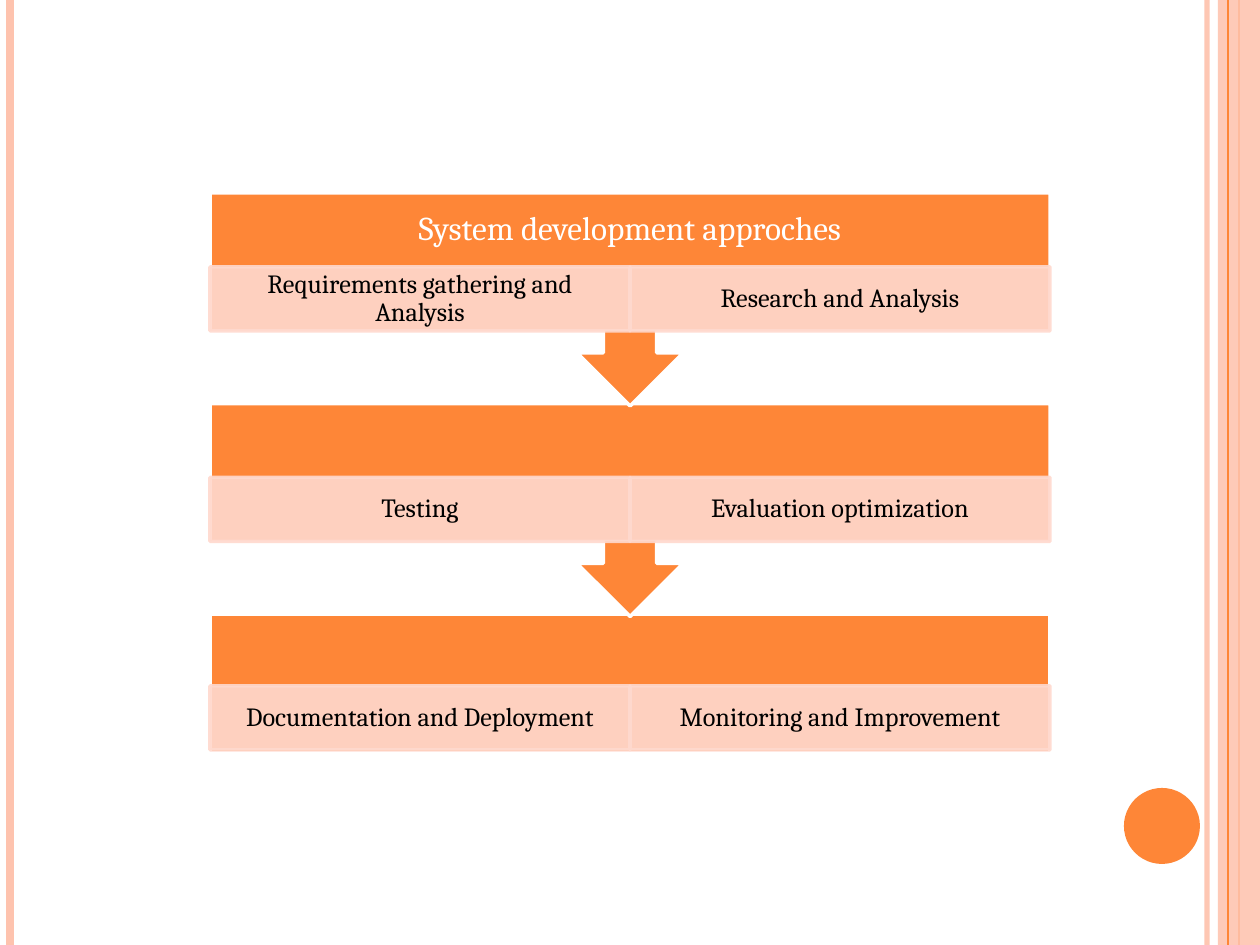
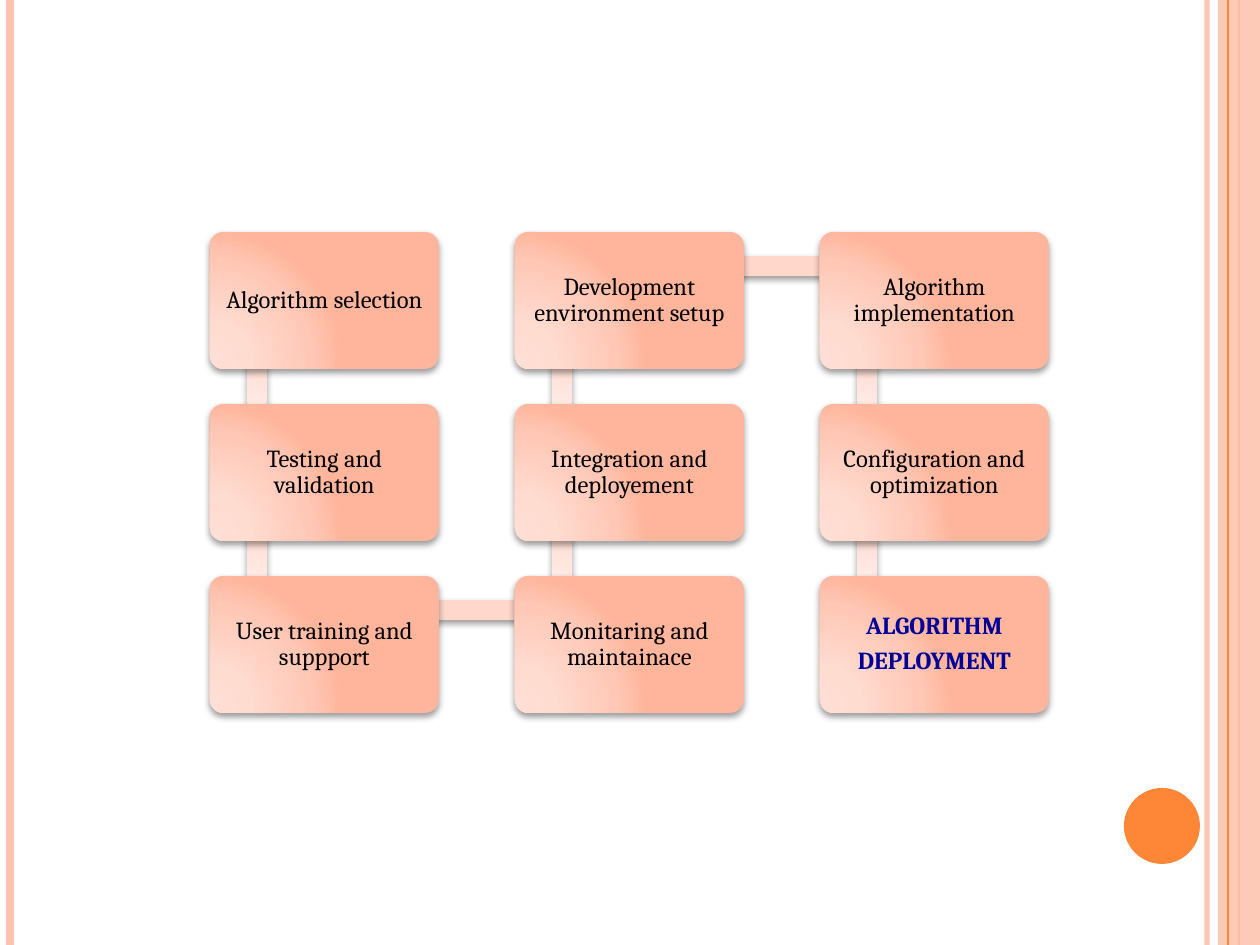
import math
from dataclasses import dataclass
from itertools import pairwise

from lxml import etree
from pptx import Presentation
from pptx import util as u
from pptx.dml.color import RGBColor
from pptx.enum import shapes, text
from pptx.oxml.ns import qn

WIDTH, HEIGHT = 1260, 945
SCALE = 914400 / 126


def px(length):
    return u.Emu(round(length * SCALE))


@dataclass(frozen=True)
class Theme:
    font: str = "Cambria"
    accent: str = "FE8637"
    stripe: str = "FEC3AE"
    tint: str = "FFD9CE"
    white: str = "FFFFFF"
    ink: str = "000000"
    goal: str = "000099"
    heading_size: int = 19
    phase_size: int = 15
    step_size: int = 14
    card_stops: tuple = ((0, "FFDED5"), (30, "FFDBD0"), (75, "FFC8B6"), (100, "FFB59B"))
    bar_stops: tuple = ((0, "FFECE7"), (30, "FFEAE4"), (75, "FFE0D7"), (100, "FFD7CB"))


class Deck:
    def __init__(self, theme):
        self.theme = theme
        self.prs = Presentation()
        self.prs.slide_width, self.prs.slide_height = px(WIDTH), px(HEIGHT)
        self.slide = None

    def new_slide(self):
        self.slide = self.prs.slides.add_slide(self.prs.slide_layouts[6])
        t = self.theme
        self.stripe(1207, t.stripe, 3, 93)
        self.stripe(10, t.stripe, 4.5)
        self.stripe(1239, t.accent, 1.5)
        self.shape("RECTANGLE", (1218, 0, 42, HEIGHT), t.stripe, opacity=87)
        self.stripe(1228, t.accent, 0.75)
        self.shape("OVAL", (1124, 788, 76, 76), t.accent)

    def fade(self, element, opacity):
        if opacity < 100:
            for color in element.spPr.iter(qn("a:srgbClr")):
                etree.SubElement(color, qn("a:alpha"), val=str(opacity * 1000))

    def stripe(self, x, color, weight, opacity=100):
        line = self.slide.shapes.add_connector(
            shapes.MSO_CONNECTOR.STRAIGHT, px(x), 0, px(x), px(HEIGHT))
        line.line.color.rgb = RGBColor.from_string(color)
        line.line.width = u.Pt(weight)
        self.fade(line._element, opacity)
        etree.SubElement(line._element.spPr, qn("a:effectLst"))

    def shape(self, kind, box, fill=None, border=None, opacity=100, rotation=0):
        shape = self.slide.shapes.add_shape(
            shapes.MSO_SHAPE[kind], *(px(side) for side in box))
        shape.shadow.inherit = False
        shape.rotation = rotation
        if fill:
            shape.fill.solid()
            shape.fill.fore_color.rgb = RGBColor.from_string(fill)
        else:
            shape.fill.background()
        if border:
            shape.line.color.rgb = RGBColor.from_string(border)
            shape.line.width = u.Pt(2)
        else:
            shape.line.fill.background()
        self.fade(shape._element, opacity)
        return shape

    def raised(self, kind, box, stops, rotation=0):
        shape = self.shape(kind, box, rotation=rotation)
        properties = shape._element.spPr
        gradient = etree.Element(qn("a:gradFill"), rotWithShape="1")
        stop_list = etree.SubElement(gradient, qn("a:gsLst"))
        for position, color in stops:
            stop = etree.SubElement(stop_list, qn("a:gs"), pos=str(position * 1000))
            etree.SubElement(stop, qn("a:srgbClr"), val=color)
        glow = etree.SubElement(gradient, qn("a:path"), path="circle")
        etree.SubElement(glow, qn("a:fillToRect"), l="5000", t="100000", r="120000", b="10000")
        properties.replace(properties.find(qn("a:noFill")), gradient)
        shadow = etree.SubElement(
            properties.find(qn("a:effectLst")), qn("a:outerShdw"), blurRad=str(u.Pt(4)),
            dist=str(u.Pt(2)), dir="5400000", rotWithShape="0")
        shade = etree.SubElement(shadow, qn("a:srgbClr"), val=self.theme.ink)
        etree.SubElement(shade, qn("a:alpha"), val="40000")
        return shape

    def label(self, shape, words, size, color, insets, bold=False):
        frame = shape.text_frame
        frame.word_wrap = True
        frame.vertical_anchor = text.MSO_ANCHOR.MIDDLE
        frame.margin_left = frame.margin_right = px(insets[0])
        frame.margin_top = frame.margin_bottom = px(insets[1])
        frame.text = words
        for paragraph in frame.paragraphs:
            paragraph.alignment = text.PP_ALIGN.CENTER
            paragraph.line_spacing = 0.9
            paragraph.space_after = u.Pt(round(size * 0.35))
            paragraph.font.name = self.theme.font
            paragraph.font.size = u.Pt(size)
            paragraph.font.bold = bold
            paragraph.font.color.rgb = RGBColor.from_string(color)

    def heading(self, box, words):
        title = self.slide.shapes.add_textbox(*(px(side) for side in box))
        self.label(title, words, self.theme.heading_size, self.theme.white, (19, 19))

    def phase(self, box, words):
        t = self.theme
        panel = self.shape("RECTANGLE", box, t.tint, t.tint, opacity=90)
        self.label(panel, words, t.phase_size, t.ink, (15, 3))

    def card(self, box, words, is_goal):
        t = self.theme
        card = self.raised("ROUNDED_RECTANGLE", box, t.card_stops)
        card.adjustments[0] = 0.1
        self.label(card, words, t.step_size, t.goal if is_goal else t.ink, (8, 8), is_goal)

    def bar(self, start, end):
        dx, dy = end[0] - start[0], end[1] - start[1]
        length, thickness = math.hypot(dx, dy) - 2, 20
        box = (start[0] + (dx - length) / 2, start[1] + (dy - thickness) / 2, length, thickness)
        angle = math.degrees(math.atan2(dy, dx)) % 360
        self.raised("RECTANGLE", box, self.theme.bar_stops, angle)


def approaches(deck):
    t = deck.theme
    stages = [
        ("Requirements gathering and Analysis", "Research and Analysis"),
        ("Testing", "Evaluation optimization"),
        ("Documentation and Deployment", "Monitoring and Improvement"),
    ]
    left, top, pitch, half = 210, 193, 210.5, 420
    last = len(stages) - 1
    deck.new_slide()
    for row in range(last, -1, -1):
        y = top + row * pitch
        if row == last:
            deck.shape("RECTANGLE", (left, y, 2 * half, 139), t.accent, t.white)
        else:
            deck.shape("UP_ARROW_CALLOUT", (left, y, 2 * half, 213), t.accent, t.white,
                       rotation=180)
        if row == 0:
            deck.heading((left, y, 2 * half, 74), "System development approches")
        for column, words in enumerate(stages[row]):
            phase_top = y + (72 if row == last else 74)
            deck.phase((left + column * half, phase_top, half, 64), words)


def deployment(deck):
    steps = [
        "Algorithm selection", "Testing and validation", "User training and suppport",
        "Monitaring and maintainace", "Integration and deployement",
        "Development environment setup", "Algorithm implementation",
        "Configuration and optimization", "ALGORITHM\nDEPLOYMENT",
    ]
    rows = 3
    corners = []
    for index in range(len(steps)):
        column, row = divmod(index, rows)
        if column % 2:
            row = rows - 1 - row
        corners.append((210 + column * 305, 232 + row * 172))
    joints = [(x + 47, y + 34) for x, y in corners]
    links = list(pairwise(joints))
    deck.new_slide()
    for index, (corner, words) in enumerate(zip(corners, steps)):
        is_goal = index == len(links)
        if not is_goal:
            deck.bar(*links[index])
        deck.card((*corner, 229, 137), words, is_goal)


def main():
    deck = Deck(Theme())
    approaches(deck)
    deployment(deck)
    deck.prs.save("out.pptx")


if __name__ == "__main__":
    main()
